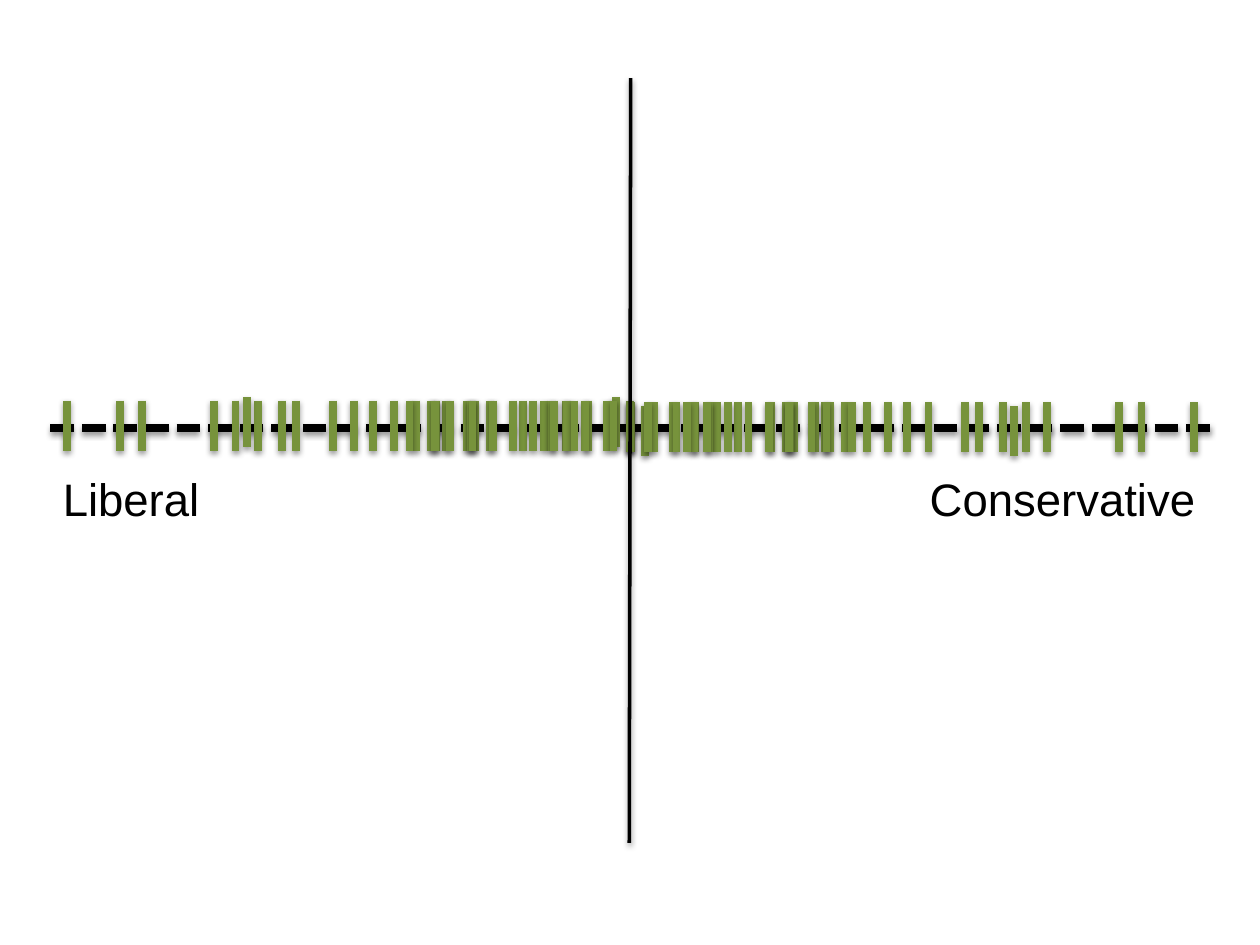
"""Draw a liberal to conservative scale with ticks spread around its centre."""
from dataclasses import dataclass

from lxml import etree
from pptx import Presentation
from pptx import util as u
from pptx.dml.color import RGBColor
from pptx.enum import dml, shapes, text
from pptx.oxml.ns import qn


@dataclass(frozen=True)
class Theme:
    black: str = "000000"
    green: str = "77933C"
    font: str = "Arial"
    size: float = 26
    thick: float = 4.5
    thin: float = 2
    blur: float = 3.15
    drop: float = 1.57
    shade: int = 38


@dataclass(frozen=True)
class Line:
    x1: float
    y1: float
    x2: float
    y2: float
    color: str
    width: float
    dash: bool = False


@dataclass(frozen=True)
class Label:
    words: str
    left: float
    width: float


THEME = Theme()
TOP, HEIGHT, LIFT = 229, 28.8, 2.2
SPAN_X, SPAN_Y = 720.7, 487.4
RAISED = {141.1, 352.1}
TICKS = [
    122.4, 169.2, 134.6, 147.6, 38.2, 68.4, 81.4, 141.1, 254.9, 161.3, 190.1,
    202.3, 225.4, 237.6, 267.1, 249.1, 271.4, 280.1, 352.1, 336.2, 323.3,
    213.1, 298.8, 234, 246.2, 257, 269.3, 311, 315.4, 324, 248.4, 334.1, 270,
    281.5, 293, 304.6, 316.8, 347, 328.3, 350.6, 360,
]
CENTRE = 360.7
AXIS = Line(28.8, 244.8, 691.9, 244.8, THEME.black, THEME.thick, True)
DIVIDE = Line(360.4, 44.6, 359.6, 481.7, THEME.black, THEME.thin)
LABELS = [Label("Liberal", 28.8, 93.6), Label("Conservative", 524.2, 167.8)]


def add_shade(props) -> None:
    effects = etree.SubElement(props, qn("a:effectLst"))
    shade = etree.SubElement(
        effects, qn("a:outerShdw"), blurRad=str(u.Pt(THEME.blur)),
        dist=str(u.Pt(THEME.drop)), dir="5400000", rotWithShape="0")
    color = etree.SubElement(shade, qn("a:srgbClr"), val=THEME.black)
    etree.SubElement(color, qn("a:alpha"), val=str(THEME.shade * 1000))


def draw_line(tree, item: Line) -> None:
    ends = (u.Pt(n) for n in (item.x1, item.y1, item.x2, item.y2))
    shape = tree.add_connector(shapes.MSO_CONNECTOR.STRAIGHT, *ends)
    shape.line.color.rgb = RGBColor.from_string(item.color)
    shape.line.width = u.Pt(item.width)
    if item.dash:
        shape.line.dash_style = dml.MSO_LINE.SQUARE_DOT
    add_shade(shape._element.spPr)


def draw_label(tree, item: Label) -> None:
    box = tree.add_textbox(u.Pt(item.left), u.Pt(265.7), u.Pt(item.width), u.Pt(38.9))
    frame = box.text_frame
    frame.word_wrap = False
    frame.auto_size = text.MSO_AUTO_SIZE.SHAPE_TO_FIT_TEXT
    para = frame.paragraphs[0]
    para.text = item.words
    para.font.name = THEME.font
    para.font.size = u.Pt(THEME.size)
    para.font.color.rgb = RGBColor.from_string(THEME.black)


def make_tick(x: float) -> Line:
    top = TOP - LIFT if x in RAISED else TOP
    return Line(x, top, x, top + HEIGHT, THEME.green, THEME.thick)


def turn(item: Line) -> Line:
    return Line(SPAN_X - item.x1, SPAN_Y - item.y1, SPAN_X - item.x2,
                SPAN_Y - item.y2, item.color, item.width)


def draw_group(tree, items: list[Line]) -> None:
    group = tree.add_group_shape()
    for item in items:
        draw_line(group.shapes, item)


def main() -> None:
    deck = Presentation()
    deck.slide_width, deck.slide_height = u.Pt(720), u.Pt(540)
    tree = deck.slides.add_slide(deck.slide_layouts[6]).shapes
    draw_line(tree, AXIS)
    for label in LABELS:
        draw_label(tree, label)
    draw_group(tree, [make_tick(x) for x in TICKS])
    draw_group(tree, [turn(make_tick(x)) for x in [*TICKS, CENTRE]])
    draw_line(tree, DIVIDE)
    deck.save("out.pptx")


if __name__ == "__main__":
    main()
